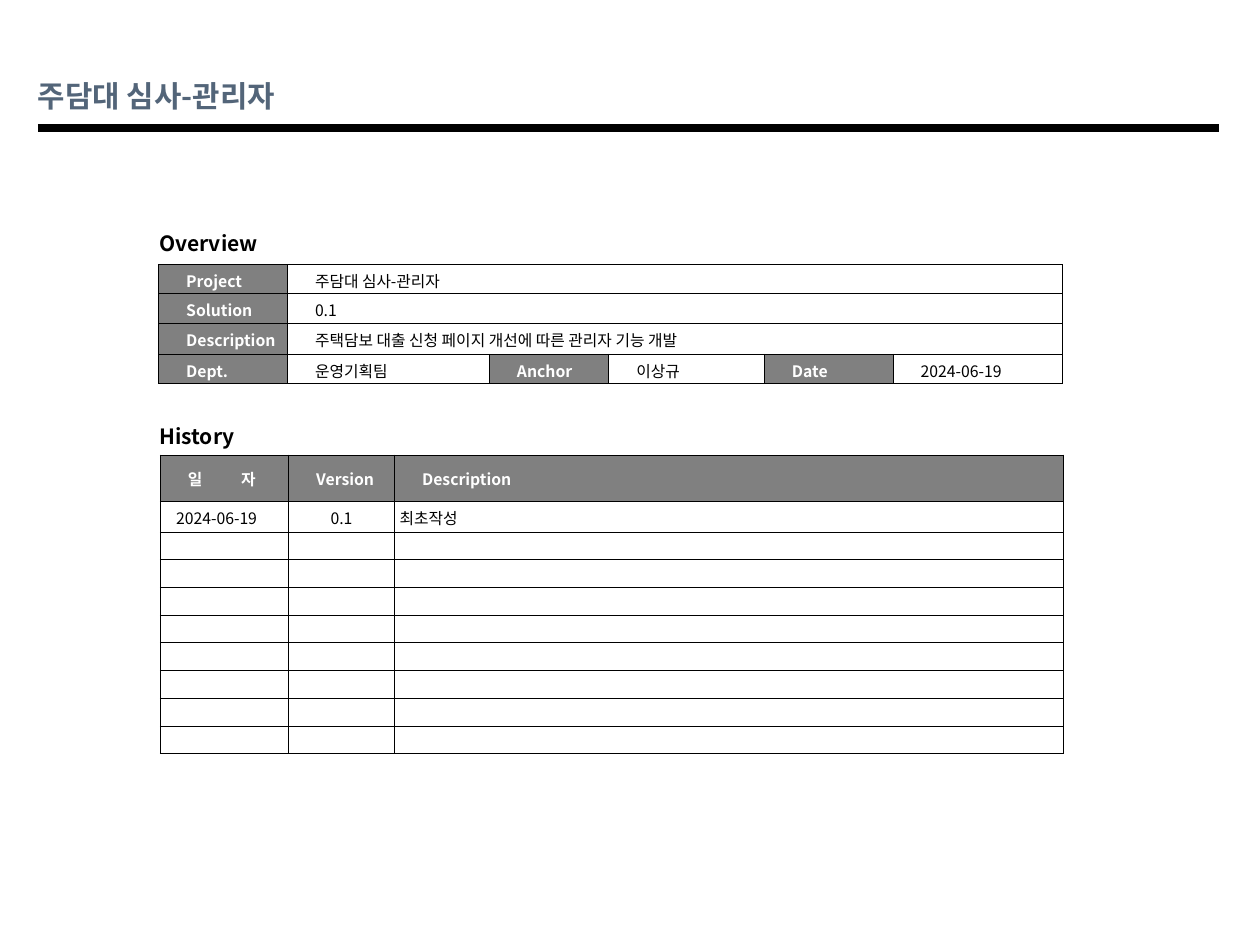
import dataclasses

import lxml.etree
import pptx
import pptx.dml.color
import pptx.enum.shapes
import pptx.enum.text
import pptx.oxml.ns
import pptx.util

Pt = pptx.util.Pt
qn = pptx.oxml.ns.qn
RGB = pptx.dml.color.RGBColor.from_string
PP_ALIGN = pptx.enum.text.PP_ALIGN


@dataclasses.dataclass(frozen=True)
class Theme:
    """Font, colours and type sizes of the slide."""
    font: str = "Noto Sans CJK KR"
    title: str = "536579"
    ink: str = "000000"
    label_text: str = "FFFFFF"
    label_fill: str = "808080"
    title_size: float = 17
    heading_size: float = 12
    cell_size: float = 9
    rule_width: float = 4.5
    border_width: float = 0.5


THEME = Theme()
LABEL_INSETS = (15.84, 2.5, 3, 1)
HEADER_INSETS = (15.84, 2, 4, 2)
ENTRY_INSETS = (0.72, 0.72, 0.72, 0)


def style_run(r, size, color, bold):
    """Apply the theme font to a run for Latin and Korean text."""
    r.font.size = Pt(size)
    r.font.bold = bold
    r.font.color.rgb = RGB(color)
    r.font.name = THEME.font
    ea = lxml.etree.SubElement(r.font._element, qn("a:ea"))
    ea.set("typeface", THEME.font)


def set_insets(target, insets):
    """Set left, top, right and bottom insets on a cell or text frame."""
    for side, inset in zip(("left", "top", "right", "bottom"), insets):
        setattr(target, f"margin_{side}", Pt(inset))


def add_text(s, box, text, size, color, insets=(7.2, 3.6, 7.2, 3.6)):
    """Add a bold one-line text box."""
    tf = s.shapes.add_textbox(*map(Pt, box)).text_frame
    tf.word_wrap = True
    set_insets(tf, insets)
    tf.text = text
    style_run(tf.paragraphs[0].runs[0], size, color, True)


def add_rule(s, x1, x2, y):
    """Add the heavy horizontal rule below the title."""
    line = s.shapes.add_connector(
        pptx.enum.shapes.MSO_CONNECTOR.STRAIGHT, Pt(x1), Pt(y), Pt(x2), Pt(y))
    line.line.color.rgb = RGB(THEME.ink)
    line.line.width = Pt(THEME.rule_width)
    lxml.etree.SubElement(line._element.spPr, qn("a:effectLst"))


def add_borders(cell):
    """Draw thin borders on all sides of a cell."""
    tc_pr = cell._tc.get_or_add_tcPr()
    for side in ("lnL", "lnR", "lnT", "lnB"):
        ln = lxml.etree.SubElement(tc_pr, qn(f"a:{side}"), w=str(Pt(THEME.border_width)))
        fill = lxml.etree.SubElement(ln, qn("a:solidFill"))
        lxml.etree.SubElement(fill, qn("a:srgbClr"), val=THEME.ink)


def add_grid(s, left, top, cols, rows):
    """Add a bordered table without fill and return it."""
    table = s.shapes.add_table(len(rows), len(cols), Pt(left), Pt(top),
                               Pt(sum(cols)), Pt(sum(rows))).table
    table.first_row = table.horz_banding = False
    for column, width in zip(table.columns, cols):
        column.width = Pt(width)
    for row, height in zip(table.rows, rows):
        row.height = Pt(height)
    for cell in table.iter_cells():
        add_borders(cell)
        cell.fill.background()
        set_insets(cell, ENTRY_INSETS)
        cell.vertical_anchor = pptx.enum.text.MSO_ANCHOR.MIDDLE
        lxml.etree.SubElement(cell.text_frame.paragraphs[0]._p, qn("a:endParaRPr"),
                              sz=str(int(THEME.cell_size * 100)))
    return table


def fill_cell(cell, text, insets, label=False, align=PP_ALIGN.LEFT):
    """Write a cell as a shaded label or a plain value."""
    set_insets(cell, insets)
    if label:
        cell.fill.solid()
        cell.fill.fore_color.rgb = RGB(THEME.label_fill)
    p = cell.text_frame.paragraphs[0]
    p.text = text
    p.alignment = align
    color = THEME.label_text if label else THEME.ink
    style_run(p.runs[0], THEME.cell_size, color, label)


def add_overview(s):
    """Add the project overview table."""
    table = add_grid(s, 90.6, 151.2, (73.6, 115.4, 68.2, 89, 73.6, 96.6),
                     (16.7, 16.9, 17.7, 16.7))
    content = (
        ("Project", "주담대 심사-관리자"),
        ("Solution", "0.1"),
        ("Description", "주택담보 대출 신청 페이지 개선에 따른 관리자 기능 개발"),
        ("Dept.", "운영기획팀", "Anchor", "이상규", "Date", "2024-06-19"),
    )
    for i, texts in enumerate(content):
        if len(texts) == 2:
            table.cell(i, 1).merge(table.cell(i, 5))
        for j, text in enumerate(texts):
            fill_cell(table.cell(i, j), text, LABEL_INSETS, label=j % 2 == 0)


def add_history(s):
    """Add the version history table with its empty rows."""
    table = add_grid(s, 91.6, 260, (73.3, 60.5, 382.3), (26.8, 17.2) + (15.85,) * 8)
    for j, text in enumerate(("일 자", "Version", "Description")):
        fill_cell(table.cell(0, j), text, HEADER_INSETS, label=True)
    date_run = table.cell(0, 0).text_frame.paragraphs[0].runs[0]
    date_run.font._element.set("spc", "1000")
    entries = (
        ("2024-06-19", (0.72, 0.72, 9.72, 0), PP_ALIGN.CENTER),
        ("0.1", ENTRY_INSETS, PP_ALIGN.CENTER),
        ("최초작성", (3, 0.72, 0.72, 0), PP_ALIGN.LEFT),
    )
    for j, (text, insets, align) in enumerate(entries):
        fill_cell(table.cell(1, j), text, insets, align=align)


def main():
    """Build and save the slide."""
    prs = pptx.Presentation()
    prs.slide_width, prs.slide_height = Pt(720), Pt(540)
    s = prs.slides.add_slide(prs.slide_layouts[6])
    add_text(s, (20.2, 43.9, 625.7, 22.3), "주담대 심사-관리자",
             THEME.title_size, THEME.title, (1.44, 0.72, 1.44, 0.72))
    add_rule(s, 21.6, 696.4, 73.2)
    add_overview(s)
    add_history(s)
    for text, top in (("Overview", 128.2), ("History", 238.3)):
        add_text(s, (84, top, 124, 21.6), text, THEME.heading_size, THEME.ink)
    prs.save("out.pptx")


if __name__ == "__main__":
    main()
